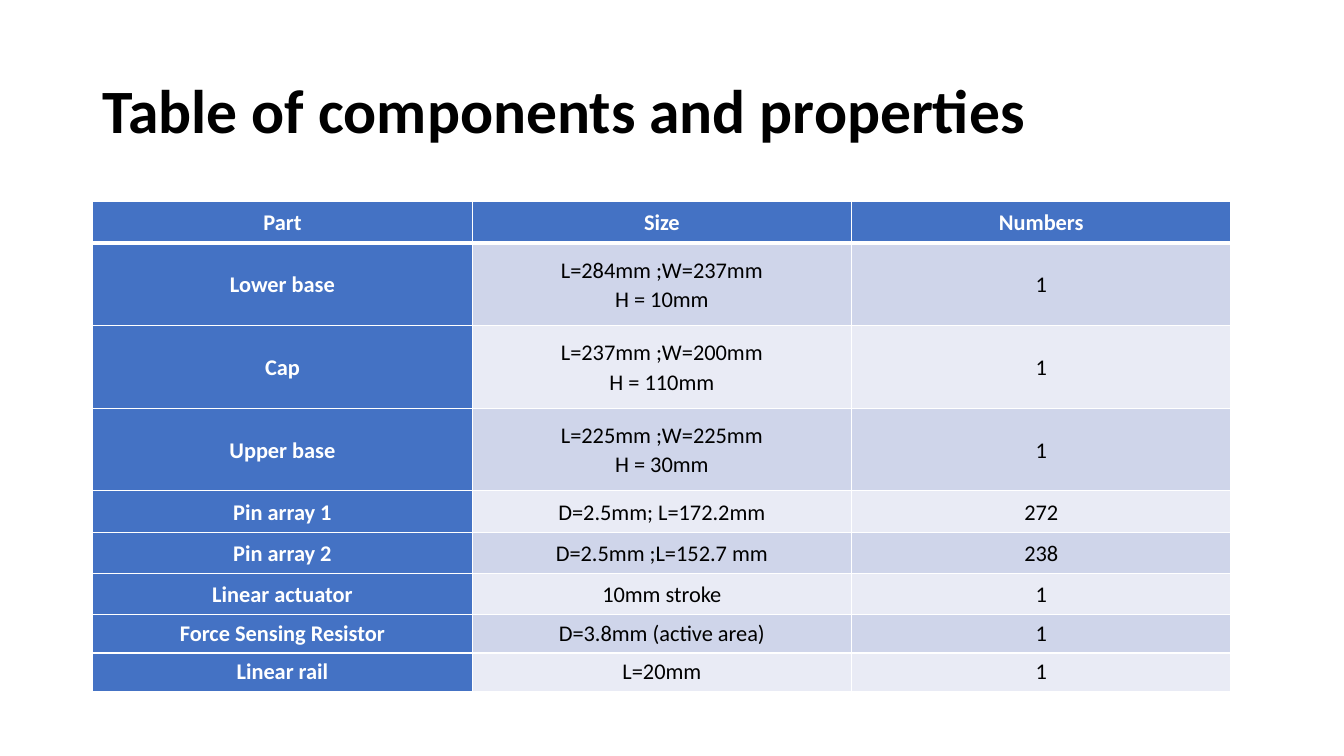
"""Build the slide with the table of components and properties."""
from lxml import etree
from pptx import Presentation
from pptx import util as u
from pptx.dml.color import RGBColor
from pptx.enum import text
from pptx.oxml.ns import qn


def style(tf, size, color, bold, align, spacing):
    tf.word_wrap = True
    tf.vertical_anchor = text.MSO_ANCHOR.MIDDLE
    for p in tf.paragraphs:
        p.alignment = align
        p.line_spacing = spacing
        for r in p.runs:
            r.font.name = "Calibri"
            r.font.size = u.Pt(size)
            r.font.bold = bold
            r.font.color.rgb = RGBColor.from_string(color)


def add_border(cell, side, width):
    ln = etree.SubElement(cell._tc.get_or_add_tcPr(), qn(f"a:ln{side}"), w=str(u.Pt(width)))
    fill = etree.SubElement(ln, qn("a:solidFill"))
    etree.SubElement(fill, qn("a:srgbClr"), val="FFFFFF")


prs = Presentation()
prs.slide_width = u.Inches(13.33)
prs.slide_height = u.Inches(7.5)
s = prs.slides.add_slide(prs.slide_layouts[6])

title = s.shapes.add_textbox(u.Inches(0.92), u.Inches(0.4), u.Inches(11.5), u.Inches(1.45))
title.text_frame.text = "Table of components and properties"
style(title.text_frame, 44, "000000", True, text.PP_ALIGN.LEFT, 0.9)

rows = [
    ("Part", "Size", "Numbers"),
    ("Lower base", "L=284mm ;W=237mm\nH = 10mm", "1"),
    ("Cap", "L=237mm ;W=200mm\nH = 110mm", "1"),
    ("Upper base", "L=225mm ;W=225mm\nH = 30mm", "1"),
    ("Pin array 1", "D=2.5mm; L=172.2mm", "272"),
    ("Pin array 2", "D=2.5mm ;L=152.7 mm", "238"),
    ("Linear actuator", "10mm stroke", "1"),
    ("Force Sensing Resistor", "D=3.8mm (active area)", "1"),
    ("Linear rail", "L=20mm", "1"),
]
heights = [0.41] + [0.82] * 3 + [0.41] * 3 + [0.38] * 2

table = s.shapes.add_table(len(rows), 3, u.Inches(0.92), u.Inches(2),
                           u.Inches(11.29), u.Inches(sum(heights))).table
for column in table.columns:
    column.width = u.Inches(11.29 / 3)

for i, (values, height) in enumerate(zip(rows, heights)):
    table.rows[i].height = u.Inches(height)
    for j, value in enumerate(values):
        cell = table.cell(i, j)
        heading = i == 0 or j == 0
        cell.text = value
        cell.margin_left = cell.margin_right = u.Inches(0.07)
        cell.margin_top = cell.margin_bottom = 0
        cell.vertical_anchor = text.MSO_ANCHOR.MIDDLE
        for side in "LRTB":
            add_border(cell, side, 3 if (i, side) in ((0, "B"), (1, "T")) else 1)
        cell.fill.solid()
        band = "CFD5EA" if i % 2 else "E9EBF5"
        cell.fill.fore_color.rgb = RGBColor.from_string("4472C4" if heading else band)
        style(cell.text_frame, 16, "FFFFFF" if heading else "000000", heading,
              text.PP_ALIGN.CENTER, 1.07 if i < 7 else 1.0)

prs.save("out.pptx")
